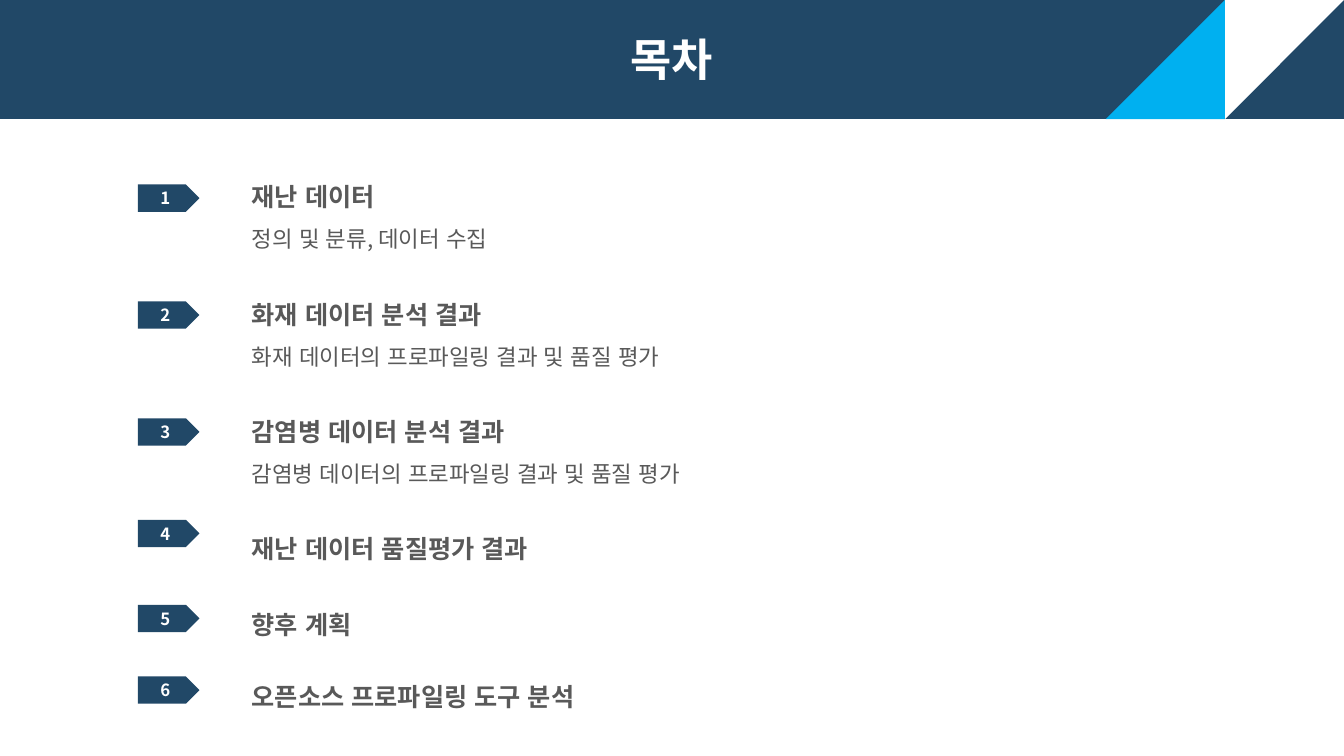
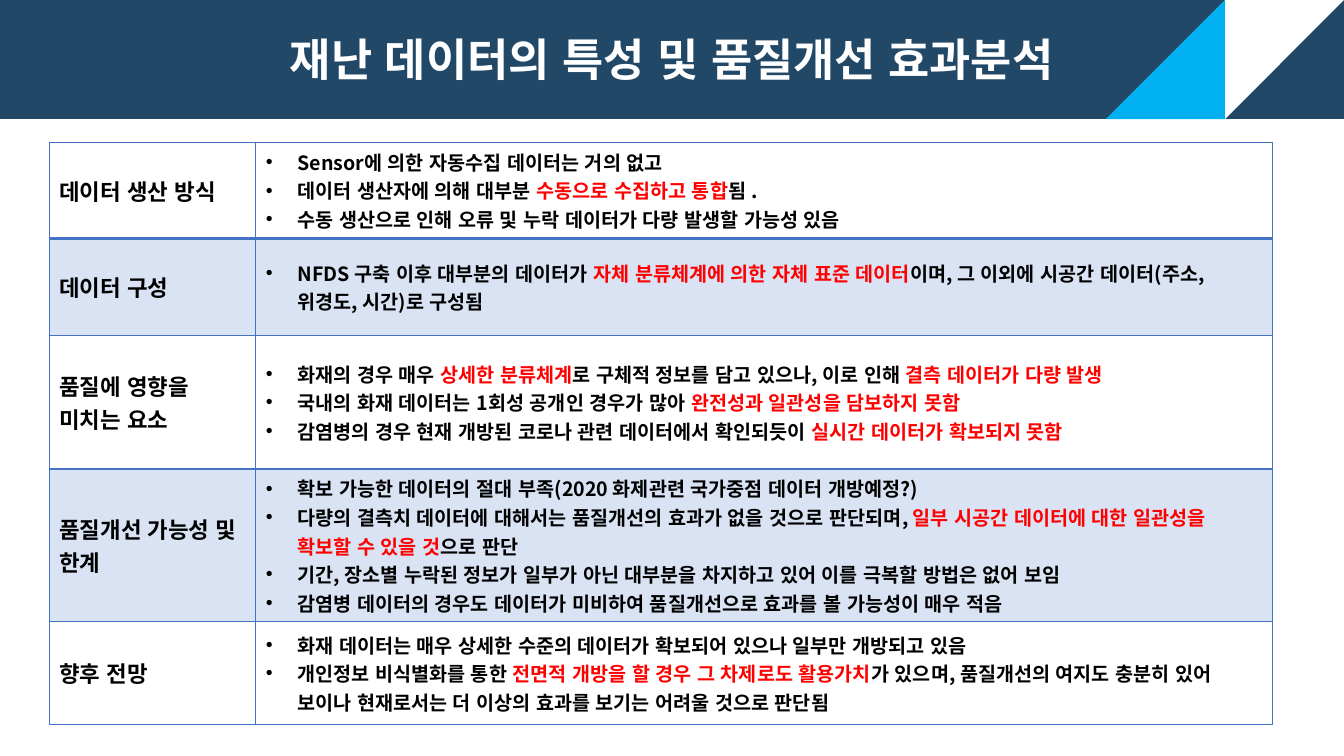
from lxml.etree import SubElement
from pptx import Presentation
from pptx.dml.color import RGBColor
from pptx.enum.lang import MSO_LANGUAGE_ID as Language
from pptx.enum.shapes import MSO_SHAPE as Shape
from pptx.enum.text import MSO_ANCHOR as Anchor, PP_ALIGN as Align
from pptx.oxml.ns import qn
from pptx.util import Pt

FONT = "Noto Sans CJK KR"
NAVY, SKY, WHITE, GRAY = "214867", "00B0F0", "FFFFFF", "595959"
BLACK, RED, BORDER, STRIPE = "000000", "FF0000", "4472C4", "DAE3F3"
WIDTH, HEIGHT, BAND = 960, 540, 85

CONTENTS_TITLE = "목차"
CONTENTS = [
    (131.8, 115.2, ["재난 데이터", "정의 및 분류, 데이터 수집"]),
    (215.3, 199.4, ["화재 데이터 분석 결과", "화재 데이터의 프로파일링 결과 및 품질 평가"]),
    (298.8, 283, ["감염병 데이터 분석 결과", "감염병 데이터의 프로파일링 결과 및 품질 평가"]),
    (371.3, 366.5, ["재난 데이터 품질평가 결과"]),
    (432, 421.2, ["향후 계획"]),
    (483.2, 472.3, ["오픈소스 프로파일링 도구 분석"]),
]

EFFECTS_TITLE = "재난 데이터의 특성 및 품질개선 효과분석"
COLUMNS = [147.5, 726]
EFFECTS = [
    (69, "데이터 생산 방식", [
        "Sensor에 의한 자동수집 데이터는 거의 없고",
        "데이터 생산자에 의해 대부분 |수동으로 수집하고 통합|됨 .",
        "수동 생산으로 인해 오류 및 누락 데이터가 다량 발생할 가능성 있음",
    ]),
    (69, "데이터 구성", [
        "NFDS 구축 이후 대부분의 데이터가| 자체 분류체계에 의한 자체 표준 데이터|"
        "이며, 그 이외에 시공간 데이터(주소, 위경도, 시간)로 구성됨",
    ]),
    (95.5, "품질에 영향을 미치는 요소", [
        "화재의 경우 매우 |상세한 분류체계|로 구체적 정보를 담고 있으나, 이로 인해 "
        "|결측 데이터가 다량 발생",
        "국내의 화재 데이터는 1회성 공개인 경우가 많아 |완전성과 일관성을 담보하지 못함",
        "감염병의 경우 현재 개방된 코로나 관련 데이터에서 확인되듯이 "
        "|실시간 데이터가 확보되지 못함",
    ]),
    (109, "품질개선 가능성 및 한계", [
        "확보 가능한 데이터의 절대 부족(2020 화제관련 국가중점 데이터 개방예정?)",
        "다량의 결측치 데이터에 대해서는 품질개선의 효과가 없을 것으로 판단되며, "
        "|일부 시공간 데이터에 대한 일관성을 확보할 수 있을 것|으로 판단",
        "기간, 장소별 누락된 정보가 일부가 아닌 대부분을 차지하고 있어 이를 극복할 방법은 없어 보임",
        "감염병 데이터의 경우도 데이터가 미비하여 품질개선으로 효과를 볼 가능성이 매우 적음",
    ]),
    (73.5, "향후 전망", [
        "화재 데이터는 매우 상세한 수준의 데이터가 확보되어 있으나 일부만 개방되고 있음",
        "개인정보 비식별화를 통한 |전면적 개방을 할 경우 그 차제로도 활용가치|"
        "가 있으며, 품질개선의 여지도 충분히 있어 보이나 현재로서는 더 이상의 효과를 보기는 어려울 것으로 판단됨",
    ]),
]


def color(value):
    return RGBColor.from_string(value)


def style(span, size, ink, bold=True):
    font = span.font
    font.name, font.size, font.bold = FONT, Pt(size), bold
    font.color.rgb = color(ink)
    font.language_id = Language.KOREAN
    SubElement(font._element, qn("a:ea")).set("typeface", FONT)


def write(para, text, size, ink, bold=True):
    for index, part in enumerate(text.split("|")):
        span = para.add_run()
        span.text = part
        style(span, size, RED if index % 2 else ink, bold)


def add_block(page, preset, left, top, width, height, fill):
    block = page.shapes.add_shape(preset, Pt(left), Pt(top), Pt(width), Pt(height))
    block.shadow.inherit = False
    block.fill.solid()
    block.fill.fore_color.rgb = color(fill)
    block.line.fill.background()
    return block


def add_label(block, text, size, spacing=1.0):
    para = block.text_frame.paragraphs[0]
    para.alignment, para.line_spacing = Align.CENTER, spacing
    write(para, text, size, WHITE)


def add_page(deck, title):
    page = deck.slides.add_slide(deck.slide_layouts[6])
    band = add_block(page, Shape.RECTANGLE, 0, 0, WIDTH, BAND, NAVY)
    band.text_frame.vertical_anchor = Anchor.TOP
    add_label(band, title, 32, 1.5)
    for place, turn, fill in [(1, 90, WHITE), (2, 270, SKY)]:
        left = WIDTH - place * BAND
        corner = add_block(page, Shape.RIGHT_TRIANGLE, left, 0, BAND, BAND, fill)
        corner.rotation = turn
    return page


def add_contents(page):
    for number, (badge_top, text_top, lines) in enumerate(CONTENTS, 1):
        badge = add_block(page, Shape.PENTAGON, 98.5, badge_top, 44, 19.5, NAVY)
        badge.text_frame.vertical_anchor = Anchor.MIDDLE
        add_label(badge, str(number), 12)
        box = page.shapes.add_textbox(Pt(172.8), Pt(text_top), Pt(376), Pt(10 + 30 * len(lines)))
        frame = box.text_frame
        frame.word_wrap = True
        frame.text = "\n".join(lines)
        for index, para in enumerate(frame.paragraphs):
            para.line_spacing = 1.5
            style(para.runs[0], 16 if index else 18, GRAY, index == 0)


def add_bullet(para):
    props = para._p.get_or_add_pPr()
    props.set("marL", str(Pt(22.5)))
    props.set("indent", str(-Pt(22.5)))
    SubElement(props, qn("a:buFont")).set("typeface", "Arial")
    SubElement(props, qn("a:buChar")).set("char", "•")


def add_borders(cell, widths):
    props = cell._tc.get_or_add_tcPr()
    for index, (side, width) in enumerate(widths.items()):
        line = props.makeelement(qn(f"a:ln{side}"), {"w": str(Pt(width))})
        fill = SubElement(line, qn("a:solidFill"))
        SubElement(fill, qn("a:srgbClr")).set("val", BORDER)
        props.insert(index, line)


def add_effects(page):
    heights = [height for height, _, _ in EFFECTS]
    table = page.shapes.add_table(
        len(EFFECTS), len(COLUMNS), Pt(35.3), Pt(101.5), Pt(sum(COLUMNS)), Pt(sum(heights))
    ).table
    for column, width in zip(table.columns, COLUMNS):
        column.width = Pt(width)
    for index, (height, topic, points) in enumerate(EFFECTS):
        table.rows[index].height = Pt(height)
        for cell in table.rows[index].cells:
            cell.vertical_anchor = Anchor.MIDDLE
            cell.fill.solid()
            cell.fill.fore_color.rgb = color(STRIPE if index % 2 else WHITE)
            add_borders(cell, {"L": 1, "R": 1, "T": 2 if index == 1 else 1, "B": 1 if index else 2})
        topic_cell, points_cell = table.rows[index].cells
        write(topic_cell.text_frame.paragraphs[0], topic, 16, BLACK)
        frame = points_cell.text_frame
        for order, point in enumerate(points):
            para = frame.add_paragraph() if order else frame.paragraphs[0]
            add_bullet(para)
            write(para, point, 14, BLACK)


def main():
    deck = Presentation()
    deck.slide_width, deck.slide_height = Pt(WIDTH), Pt(HEIGHT)
    add_contents(add_page(deck, CONTENTS_TITLE))
    add_effects(add_page(deck, EFFECTS_TITLE))
    deck.save("out.pptx")


if __name__ == "__main__":
    main()
